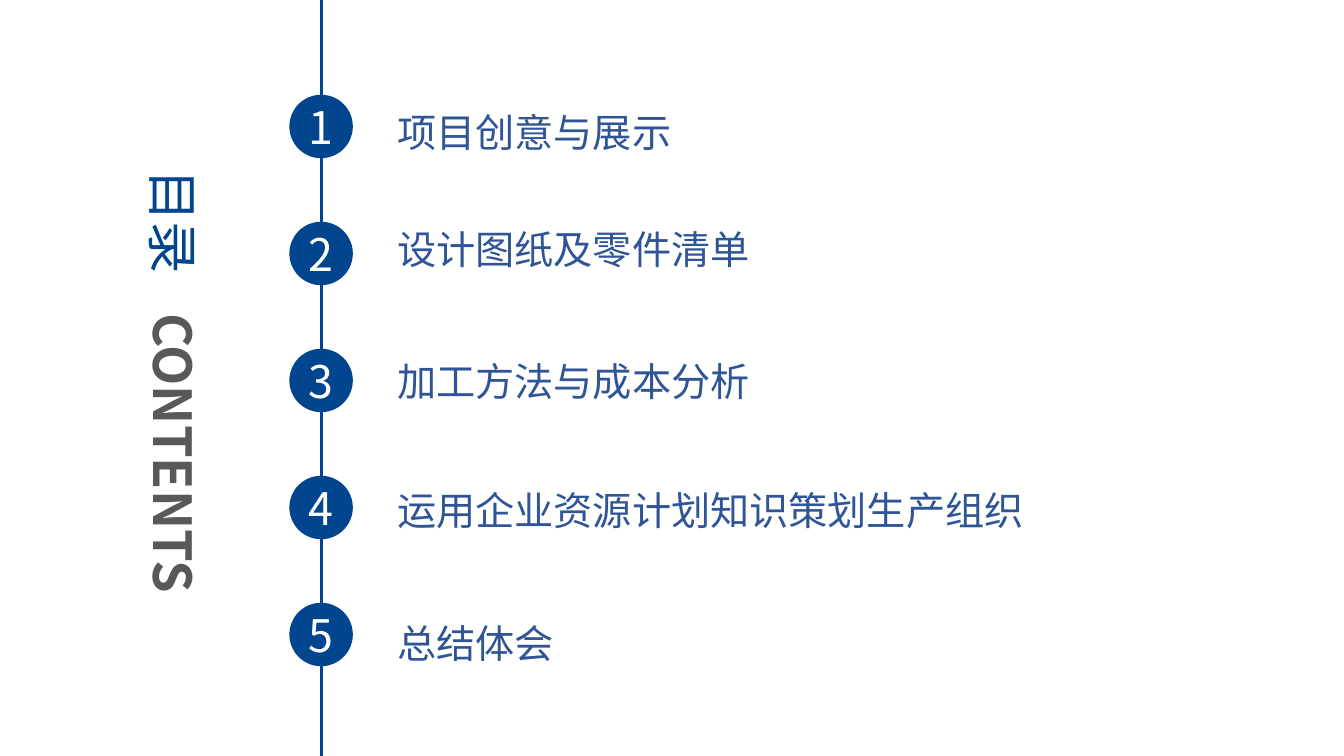
from pptx import Presentation
from pptx.dml.color import RGBColor
from pptx.enum.shapes import MSO_CONNECTOR as CONN, MSO_SHAPE as SHAPE
from pptx.enum.text import MSO_ANCHOR as ANCHOR, PP_ALIGN as ALIGN
from pptx.oxml.ns import qn
from pptx.util import Inches, Pt
from lxml import etree

FONT = "Noto Sans CJK SC"
NAVY, BLUE, GRAY, WHITE = "01458E", "2F5597", "595959", "FFFFFF"
LINE_X = 3.19
DOT_LEFT, DOT_TOP, DOT_SIZE, DOT_STEP = 2.87, 0.94, 0.63, 1.26

# Topic, top, width, height, line spacing, alignment
TOPICS = [
    ("项目创意与展示", 0.79, 5.19, 0.81, 1.5, ALIGN.LEFT),
    ("设计图纸及零件清单", 2.19, 5.19, 0.57, 1.0, ALIGN.JUSTIFY),
    ("加工方法与成本分析", 3.5, 5.19, 0.57, 1.0, ALIGN.JUSTIFY),
    ("运用企业资源计划知识策划生产组织", 4.54, 6.95, 0.81, 1.5, ALIGN.LEFT),
    ("总结体会", 5.86, 5.19, 0.81, 1.5, ALIGN.LEFT),
]


def rgb(color):
    return RGBColor.from_string(color)


def write(tf, text, size, color, bold=False, align=ALIGN.LEFT, spacing=1.0):
    p = tf.paragraphs[0]
    r = p.add_run()
    r.text = text
    p.alignment = align
    p.line_spacing = spacing
    p.font.name = FONT
    p.font.size = Pt(size)
    p.font.bold = bold
    p.font.color.rgb = rgb(color)
    # Chinese characters take the East Asian font
    ea = etree.SubElement(r.font._element, qn("a:ea"))
    ea.set("typeface", FONT)


def add_text(s, text, box, size, color, **style):
    sp = s.shapes.add_textbox(*map(Inches, box))
    sp.text_frame.word_wrap = True
    write(sp.text_frame, text, size, color, **style)
    return sp


def turn(sp):
    sp.rotation = 90
    sp.text_frame.word_wrap = False


def set_title(s, text, box):
    sp = s.shapes.title
    sp.left, sp.top, sp.width, sp.height = map(Inches, box)
    sp.text_frame.vertical_anchor = ANCHOR.TOP
    write(sp.text_frame, text, 37.4, NAVY)
    turn(sp)


def add_timeline(s):
    x = Inches(LINE_X)
    line = s.shapes.add_connector(CONN.STRAIGHT, x, 0, x, Inches(7.5))
    line.line.color.rgb = rgb(NAVY)
    line.line.width = Pt(1.75)
    etree.SubElement(line._element.spPr, qn("a:effectLst"))


def add_dot(s, number):
    top = DOT_TOP + (number - 1) * DOT_STEP
    sp = s.shapes.add_shape(SHAPE.OVAL, *map(Inches, (DOT_LEFT, top, DOT_SIZE, DOT_SIZE)))
    sp.shadow.inherit = False
    sp.fill.solid()
    sp.fill.fore_color.rgb = rgb(NAVY)
    sp.line.fill.background()
    sp.text_frame.vertical_anchor = ANCHOR.MIDDLE
    write(sp.text_frame, str(number), 32, WHITE, align=ALIGN.CENTER)


def main():
    prs = Presentation()
    prs.slide_width, prs.slide_height = Inches(13.33), Inches(7.5)
    s = prs.slides.add_slide(prs.slide_layouts[5])

    # Rotated headings
    set_title(s, "目录", (1.1, 1.84, 1.25, 0.73))
    turn(add_text(s, "CONTENTS", (0.16, 4.21, 3.13, 0.73), 37.4, GRAY, bold=True))

    # Numbered topics along the line
    add_timeline(s)
    for number, (text, top, width, height, spacing, align) in enumerate(TOPICS, 1):
        add_dot(s, number)
        add_text(s, text, (3.84, top, width, height), 28, BLUE,
                 spacing=spacing, align=align)

    prs.save("out.pptx")


if __name__ == "__main__":
    main()
